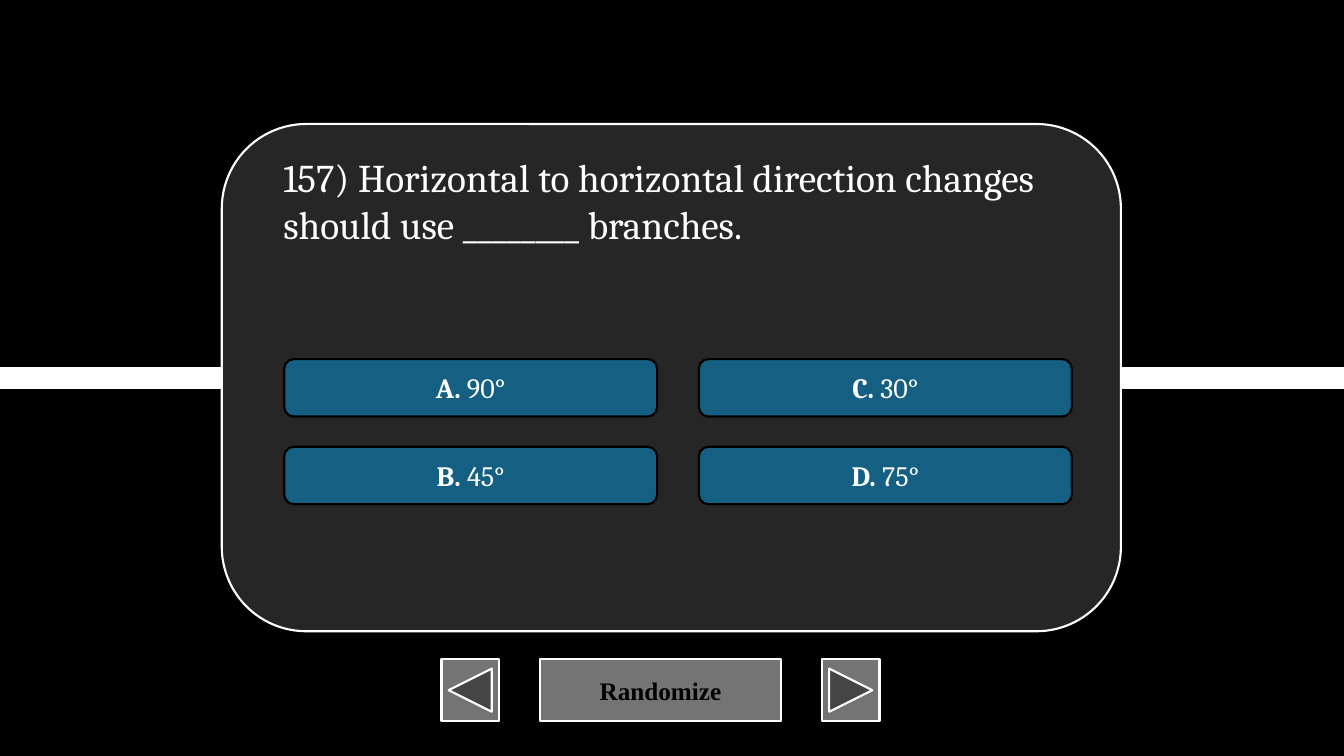
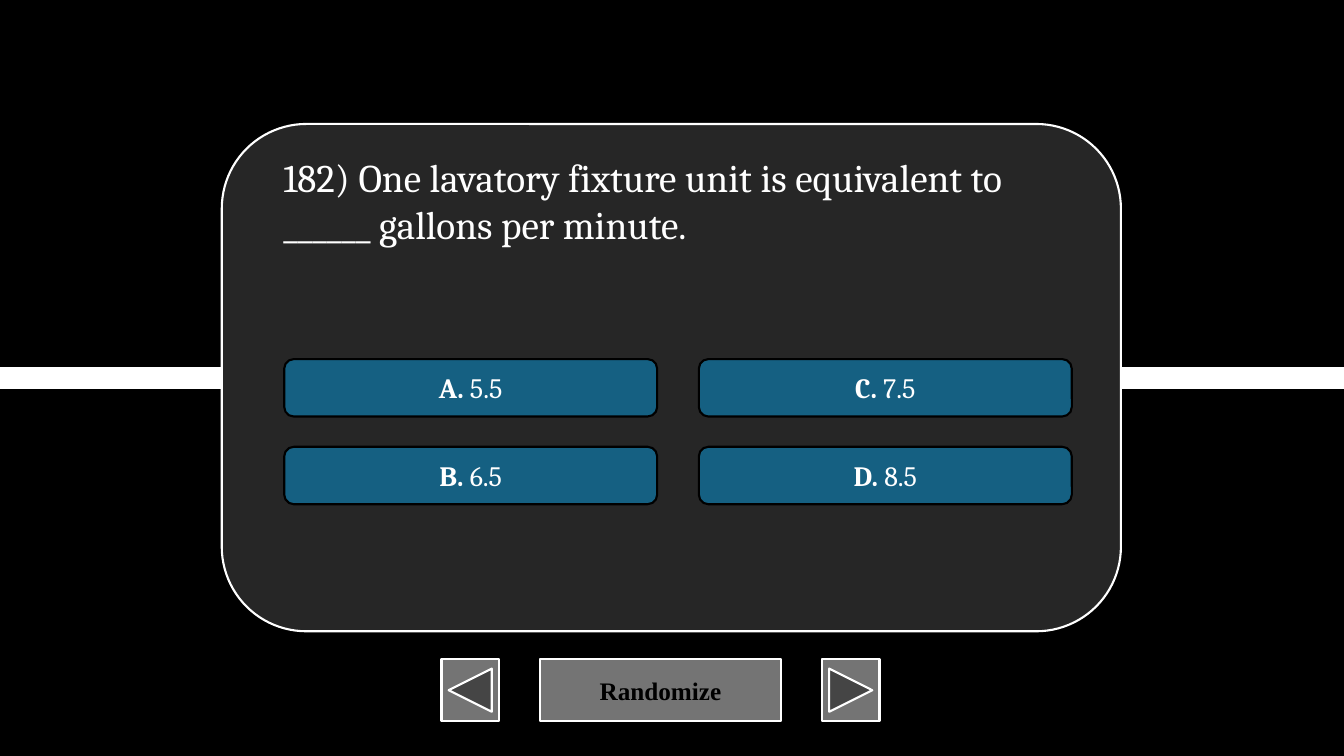
from lxml import etree
from pptx import Presentation
from pptx.dml.color import RGBColor
from pptx.enum.shapes import MSO_CONNECTOR, MSO_SHAPE
from pptx.enum.text import MSO_ANCHOR, MSO_AUTO_SIZE, PP_ALIGN
from pptx.oxml.ns import qn
from pptx.util import Inches, Pt

WHITE, BLACK, CARD, ANSWER, NAV = "FFFFFF", "000000", "262626", "156082", "747474"
SERIF, NAV_FONT = "Cambria", "Times New Roman"

QUESTIONS = [
    ("157) Horizontal to horizontal direction changes should use ________ branches.",
     ["90°", "45°", "30°", "75°"]),
    ("182) One lavatory fixture unit is equivalent to ______ gallons per minute.",
     ["5.5", "6.5", "7.5", "8.5"]),
]

prs = Presentation()
prs.slide_width, prs.slide_height = Inches(13.33), Inches(7.5)


def rgb(color):
    return RGBColor.from_string(color)


def add_box(s, kind, x, y, w, h, fill, line):
    """Add a filled, outlined shape; lengths are percent of the slide."""
    col, row = prs.slide_width / 100, prs.slide_height / 100
    sp = s.shapes.add_shape(kind, int(x * col), int(y * row), int(w * col), int(h * row))
    sp.shadow.inherit = False
    sp.fill.solid()
    sp.fill.fore_color.rgb = rgb(fill)
    sp.line.color.rgb = rgb(line)
    sp.line.width = Pt(1.5)
    sp.text_frame.vertical_anchor = MSO_ANCHOR.MIDDLE
    sp.text_frame.paragraphs[0].alignment = PP_ALIGN.CENTER
    return sp


# Shared background
bg = prs.slide_master.background.fill
bg.solid()
bg.fore_color.rgb = rgb(BLACK)

for question, answers in QUESTIONS:
    s = prs.slides.add_slide(prs.slide_layouts[5])

    # Band across the middle
    mid = prs.slide_height // 2
    band = s.shapes.add_connector(MSO_CONNECTOR.STRAIGHT, 0, mid, prs.slide_width, mid)
    band.line.color.rgb = rgb(WHITE)
    band.line.width = Pt(16)
    etree.SubElement(band._element.spPr, qn("a:effectLst"))

    # Navigation row: back, randomize, next
    x = 32.85
    for kind, w, label in [
        (MSO_SHAPE.ACTION_BUTTON_BACK_OR_PREVIOUS, 4.28, ""),
        (MSO_SHAPE.ACTION_BUTTON_CUSTOM, 17.93, "Randomize"),
        (MSO_SHAPE.ACTION_BUTTON_FORWARD_OR_NEXT, 4.28, ""),
    ]:
        sp = add_box(s, kind, x, 87.2, w, 8.2, NAV, WHITE)
        if label:
            p = sp.text_frame.paragraphs[0]
            p.text = label
            p.font.name, p.font.size, p.font.bold = NAV_FONT, Pt(18), True
            p.font.color.rgb = rgb(BLACK)
        x += w + 3.05

    # Card
    add_box(s, MSO_SHAPE.ROUNDED_RECTANGLE, 16.5, 16.4, 66.9, 67.1, CARD, WHITE)

    # Answers, filled column by column
    for i, answer in enumerate(answers):
        col, row = divmod(i, 2)
        sp = add_box(s, MSO_SHAPE.ROUNDED_RECTANGLE, 21.15 + col * 30.85,
                     47.5 + row * 11.6, 27.75, 7.6, ANSWER, BLACK)
        p = sp.text_frame.paragraphs[0]
        p.font.name, p.font.size = SERIF, Pt(20)
        p.font.color.rgb = rgb(WHITE)
        for text, bold in [(f"{'ABCD'[i]}. ", True), (answer, False)]:
            r = p.add_run()
            r.text = text
            r.font.bold = bold

    # Question, brought in front of the card
    title = s.shapes.title
    title.left, title.width = int(prs.slide_width * 0.2033), int(prs.slide_width * 0.594)
    title.top, title.height = int(prs.slide_height * 0.196), int(prs.slide_height * 0.139)
    tf = title.text_frame
    tf.text = question
    tf.word_wrap = True
    tf.auto_size = MSO_AUTO_SIZE.NONE
    tf.vertical_anchor = MSO_ANCHOR.TOP
    p = tf.paragraphs[0]
    p.alignment = PP_ALIGN.LEFT
    p.font.name, p.font.size = SERIF, Pt(28)
    p.font.color.rgb = rgb(WHITE)
    s.shapes._spTree.append(title._element)

prs.save("out.pptx")
